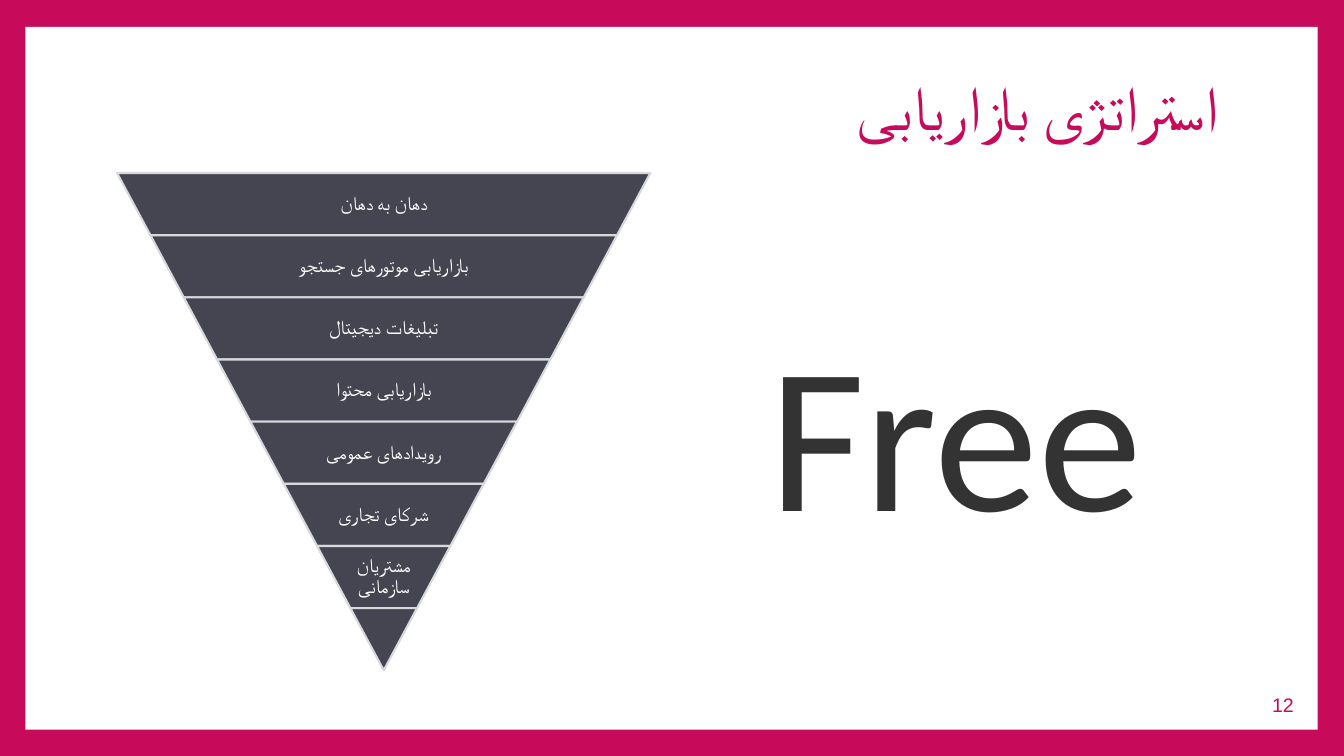
"""Build the marketing strategy slide with its inverted funnel."""
from dataclasses import dataclass

import lxml.etree
import pptx
import pptx.dml.color
import pptx.enum.shapes
import pptx.enum.text
import pptx.oxml.ns
import pptx.shapes.base
import pptx.shapes.group
import pptx.text.text
import pptx.util
from pptx.util import Cm

PINK = pptx.dml.color.RGBColor(0xC8, 0x0A, 0x5A)
WHITE = pptx.dml.color.RGBColor(0xFF, 0xFF, 0xFF)
SLATE = pptx.dml.color.RGBColor(0x45, 0x45, 0x51)
SILVER = pptx.dml.color.RGBColor(0xD8, 0xD9, 0xDC)
CHARCOAL = pptx.dml.color.RGBColor(0x33, 0x33, 0x33)

ALIGN = pptx.enum.text.PP_ALIGN
ANCHOR = pptx.enum.text.MSO_ANCHOR
SHAPE = pptx.enum.shapes.MSO_SHAPE

FUNNEL_LEFT, FUNNEL_TOP = 2.95, 4.36
FUNNEL_WIDTH, FUNNEL_HEIGHT = 13.44, 12.53
LABEL_SHARE = 0.65
CHANNELS = [
    "دهان به دهان",
    "بازاریابی موتورهای جستجو",
    "تبلیغات دیجیتال",
    "بازاریابی محتوا",
    "رویدادهای عمومی",
    "شرکای تجاری",
    "مشتریان سازمانی",
    "",
]


@dataclass(frozen=True)
class TextStyle:
    """Font, size, colour and alignment of a right-to-left paragraph."""

    font: str
    size: int
    color: pptx.dml.color.RGBColor
    alignment: ALIGN


@dataclass(frozen=True)
class Band:
    """One funnel level, measured in centimetres."""

    label: str
    left: float
    top: float
    width: float
    height: float


TITLE_STYLE = TextStyle("Calibri", 44, PINK, ALIGN.RIGHT)
BAND_STYLE = TextStyle("Karla", 14, WHITE, ALIGN.CENTER)
PRICE_STYLE = TextStyle("Calibri", 149, CHARCOAL, ALIGN.CENTER)
NUMBER_STYLE = TextStyle("Arial", 14, PINK, ALIGN.RIGHT)


def place(shape: pptx.shapes.base.BaseShape, left: float, top: float,
          width: float, height: float) -> None:
    """Move and size a shape, in centimetres."""
    shape.left, shape.top = Cm(left), Cm(top)
    shape.width, shape.height = Cm(width), Cm(height)


def write(shape: pptx.shapes.base.BaseShape, text: str, style: TextStyle,
          anchor: ANCHOR = ANCHOR.MIDDLE) -> pptx.text.text._Paragraph:
    """Write one right-to-left paragraph and return it."""
    frame = shape.text_frame
    frame.word_wrap = True
    frame.auto_size = pptx.enum.text.MSO_AUTO_SIZE.NONE
    frame.vertical_anchor = anchor
    paragraph = frame.paragraphs[0]
    paragraph.alignment = style.alignment
    paragraph._p.get_or_add_pPr().set("rtl", "1")
    run = paragraph.add_run()
    run.text = text
    run.font.name = style.font
    run.font.size = pptx.util.Pt(style.size)
    run.font.color.rgb = style.color
    script_font = lxml.etree.SubElement(run._r.get_or_add_rPr(), pptx.oxml.ns.qn("a:cs"))
    script_font.set("typeface", style.font)
    return paragraph


def funnel_bands() -> list[Band]:
    """Work out equal bands that narrow to a point."""
    count = len(CHANNELS)
    height = FUNNEL_HEIGHT / count
    step = FUNNEL_WIDTH / count
    return [
        Band(label, FUNNEL_LEFT + index * step / 2, FUNNEL_TOP + index * height,
             FUNNEL_WIDTH - index * step, height)
        for index, label in enumerate(CHANNELS)
    ]


def draw_band(group: pptx.shapes.group.GroupShape, band: Band) -> None:
    """Draw a funnel level and its label."""
    trapezoid = group.shapes.add_shape(
        SHAPE.TRAPEZOID, Cm(band.left), Cm(band.top), Cm(band.width), Cm(band.height))
    trapezoid.rotation = 180
    trapezoid.adjustments[0] = FUNNEL_WIDTH / FUNNEL_HEIGHT / 2
    trapezoid.shadow.inherit = False
    trapezoid.fill.solid()
    trapezoid.fill.fore_color.rgb = SLATE
    trapezoid.line.color.rgb = SILVER
    trapezoid.line.width = pptx.util.Pt(1.5)
    if not band.label:
        return
    width = band.width * LABEL_SHARE
    label = group.shapes.add_textbox(
        Cm(band.left + (band.width - width) / 2), Cm(band.top), Cm(width), Cm(band.height))
    frame = label.text_frame
    frame.margin_left = frame.margin_right = Cm(0.05)
    frame.margin_top = frame.margin_bottom = Cm(0.05)
    write(label, band.label, BAND_STYLE).line_spacing = 0.9


def main() -> None:
    """Build and save the slide."""
    presentation = pptx.Presentation()
    presentation.slide_width, presentation.slide_height = Cm(33.87), Cm(19.05)
    slide = presentation.slides.add_slide(presentation.slide_layouts[1])
    slide.background.fill.solid()
    slide.background.fill.fore_color.rgb = PINK

    title, price = slide.shapes.title, slide.placeholders[1]
    panel = slide.shapes.add_shape(
        SHAPE.RECTANGLE, Cm(0.64), Cm(0.68), Cm(32.57), Cm(17.71))
    panel.shadow.inherit = False
    panel.fill.solid()
    panel.fill.fore_color.rgb = WHITE
    panel.line.fill.background()
    title.element.addprevious(panel.element)

    place(title, 2.95, 1.37, 27.99, 2.59)
    write(title, "استراتژی بازاریابی", TITLE_STYLE)

    funnel = slide.shapes.add_group_shape()
    for band in funnel_bands():
        draw_band(funnel, band)

    place(price, 17.4, FUNNEL_TOP, 13.51, FUNNEL_HEIGHT)
    paragraph = write(price, "Free", PRICE_STYLE, ANCHOR.TOP)
    paragraph.line_spacing = 1.5
    paragraph.space_before = pptx.util.Pt(14)
    properties = paragraph._p.get_or_add_pPr()
    properties.set("marL", str(Cm(0.13)))
    properties.set("indent", "0")
    lxml.etree.SubElement(properties, pptx.oxml.ns.qn("a:buNone"))

    number = slide.shapes.add_textbox(Cm(30.4), Cm(17.27), Cm(2.46), Cm(0.99))
    write(number, "12", NUMBER_STYLE)
    presentation.save("out.pptx")


main()
